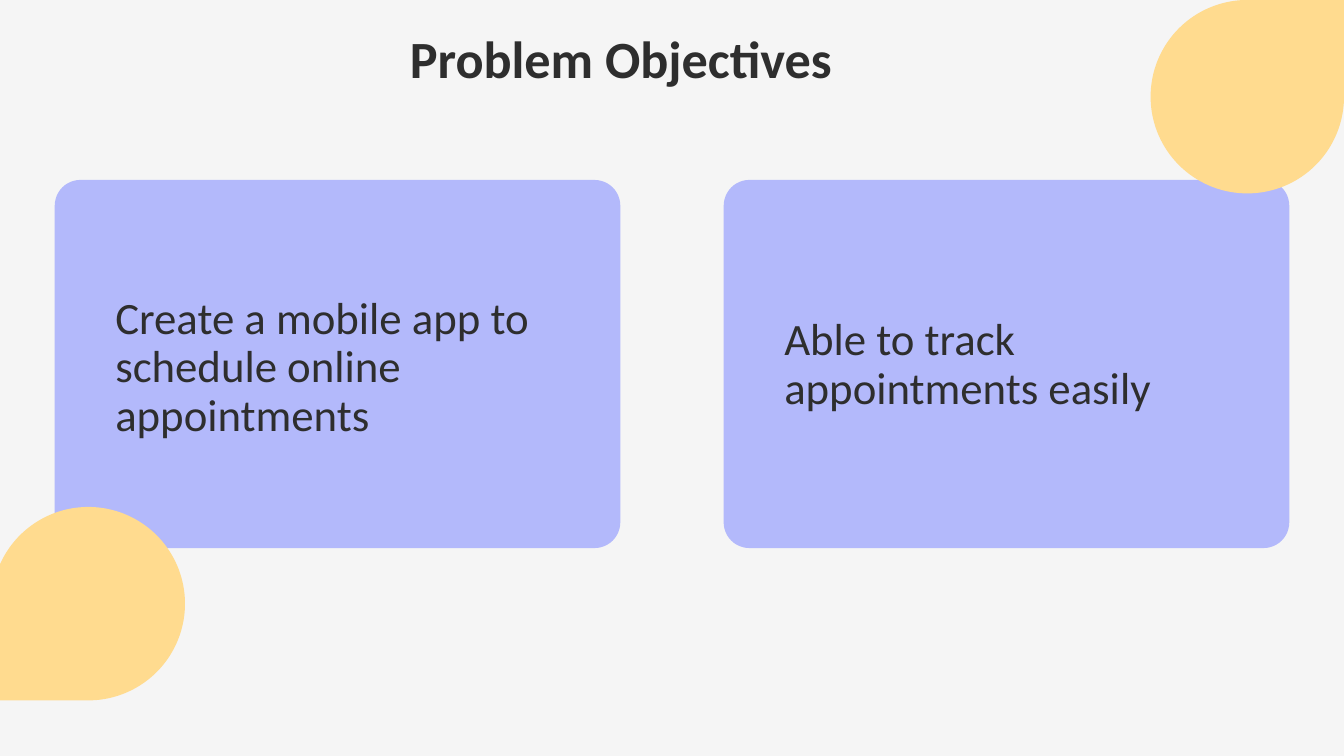
from pptx import Presentation
from pptx.dml.color import RGBColor
from pptx.enum.shapes import MSO_SHAPE
from pptx.enum.text import MSO_ANCHOR, MSO_AUTO_SIZE, PP_ALIGN
from pptx.util import Pt

COLORS = {"back": "F5F5F5", "card": "B3B9FB", "drop": "FFDB8F", "ink": "2E2E2E"}
WIDE, HIGH = 720, 405


class Deck:
    font = "Calibri"

    def __init__(self):
        self.show = Presentation()
        self.show.slide_width, self.show.slide_height = Pt(WIDE), Pt(HIGH)
        self.slide = self.show.slides.add_slide(self.show.slide_layouts[5])
        self.paint(self.slide.background.fill, "back")

    def paint(self, fill, name):
        fill.solid()
        fill.fore_color.rgb = RGBColor.from_string(COLORS[name])

    def shape(self, kind, box, color, adjust, turn=0):
        item = self.slide.shapes.add_shape(kind, *map(Pt, box))
        item.adjustments[0] = adjust
        item.rotation = turn
        item.shadow.inherit = False
        item.line.fill.background()
        self.paint(item.fill, color)

    def label(self, item, words, size, bold=False):
        frame = item.text_frame
        frame.text = words
        frame.word_wrap = True
        frame.auto_size = MSO_AUTO_SIZE.NONE
        frame.vertical_anchor = MSO_ANCHOR.BOTTOM
        para = frame.paragraphs[0]
        para.alignment = PP_ALIGN.LEFT
        para.line_spacing = 0.9
        font = para.runs[0].font
        font.name, font.size, font.bold = self.font, Pt(size), bold
        font.color.rgb = RGBColor.from_string(COLORS["ink"])

    def title(self, words, box):
        item = self.slide.shapes.title
        item.left, item.top, item.width, item.height = map(Pt, box)
        self.label(item, words, 28, True)

    def text(self, words, box):
        self.label(self.slide.shapes.add_textbox(*map(Pt, box)), words, 24)


def main():
    deck = Deck()
    deck.title("Problem Objectives", (212.4, 5.8, 294.5, 46))

    # Objective cards, mirrored about the slide centre
    edge, width = 29.3, 303
    goals = [
        (edge, 193.7, "Create a mobile app to schedule online appointments"),
        (WIDE - edge - width, 179.3, "Able to track appointments easily"),
    ]
    for left, top, words in goals:
        deck.shape(MSO_SHAPE.ROUNDED_RECTANGLE, (left, 96.4, width, 197.2), "card", 0.07)
        deck.text(words, (left + 25.4, top, 252, 46))

    # Corner drops
    size = 103.6
    for left, top, turn in [(WIDE - size, 0, 0), (-4.5, 271.6, 180)]:
        deck.shape(MSO_SHAPE.TEAR, (left, top, size, size), "drop", 1, turn)

    deck.show.save("out.pptx")


if __name__ == "__main__":
    main()
